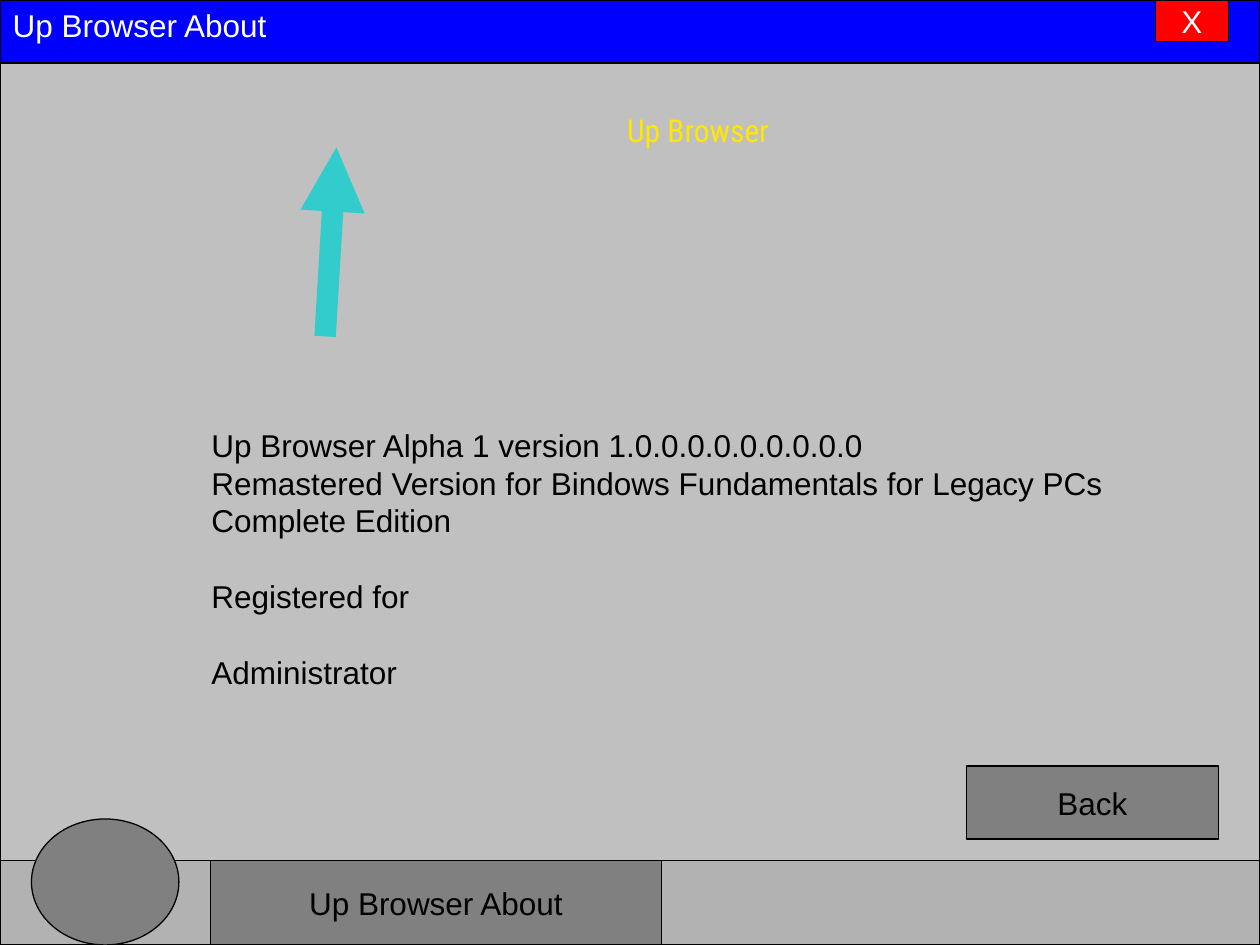
from dataclasses import dataclass

from lxml import etree
from pptx import Presentation, util as u
from pptx.dml.color import RGBColor
from pptx.enum import shapes, text
from pptx.oxml import ns


@dataclass(frozen=True)
class Theme:
    """Colours, fonts and sizes of the window."""
    desktop: str = "0070C0"
    backdrop: str = "009999"
    taskbar: str = "B2B2B2"
    title_bar: str = "0000FF"
    panel: str = "C0C0C0"
    button: str = "808080"
    close: str = "FF0000"
    arrow: str = "33CCCC"
    brand: str = "FFE701"
    dark: str = "000000"
    light: str = "FFFFFF"
    font: str = "Arial"
    brand_font: str = "Roboto Condensed"
    size: float = 18
    leading: float = 21.6
    border: float = 0.75
    arrow_width: float = 12.25


T = Theme()
RECT = shapes.MSO_SHAPE.RECTANGLE
LEFT, CENTER = text.PP_ALIGN.LEFT, text.PP_ALIGN.CENTER
TOP, MIDDLE = text.MSO_ANCHOR.TOP, text.MSO_ANCHOR.MIDDLE


def rgb(value):
    """Return a colour from its hex string."""
    return RGBColor.from_string(value)


def place(sp, box):
    """Move and size a shape by a box in inches."""
    sp.left, sp.top, sp.width, sp.height = map(u.Inches, box)


def write(sp, content, color, align=LEFT, anchor=TOP, font=T.font):
    """Fill a shape with unwrapped text and format its runs."""
    tf = sp.text_frame
    tf.text = content
    tf.word_wrap = False
    tf.auto_size = text.MSO_AUTO_SIZE.NONE
    tf.vertical_anchor = anchor
    tf.margin_left = tf.margin_right = u.Inches(0.1)
    tf.margin_top = tf.margin_bottom = u.Inches(0.05)
    for p in tf.paragraphs:
        p.alignment = align
        for r in p.runs:
            r.font.name = font
            r.font.size = u.Pt(T.size)
            r.font.color.rgb = rgb(color)
    return tf


def add_box(s, box, fill, label="", color=T.dark, kind=RECT):
    """Add a bordered shape with an optional centred label."""
    sp = s.shapes.add_shape(kind, *map(u.Inches, box))
    sp.shadow.inherit = False
    sp.fill.solid()
    sp.fill.fore_color.rgb = rgb(fill)
    sp.line.color.rgb = rgb(T.dark)
    sp.line.width = u.Pt(T.border)
    if label:
        write(sp, label, color, CENTER, MIDDLE)


def add_title(s, box, content):
    """Set the window title and bring it to the front."""
    sp = s.shapes.title
    place(sp, box)
    tf = write(sp, content, T.light)
    tf.paragraphs[0].line_spacing = 1.0
    tf.paragraphs[0].space_before = u.Pt(0)
    sp.element.getparent().append(sp.element)


def add_text(s, box, content, color, **style):
    """Add a text box and return its text frame."""
    sp = s.shapes.add_textbox(*map(u.Inches, box))
    return write(sp, content, color, **style)


def add_details(s, box, groups):
    """Add groups of lines set one line apart."""
    lines = [line for group in groups for line in group]
    starts = {group[0] for group in groups[1:]}
    tf = add_text(s, box, "\n".join(lines), T.dark)
    for p in tf.paragraphs:
        p.line_spacing = u.Pt(T.leading)
        p.space_before = u.Pt(T.leading if p.text in starts else 0)


def add_arrow(s, start, end):
    """Add a thick straight arrow between two points."""
    points = map(u.Inches, (*start, *end))
    sp = s.shapes.add_connector(shapes.MSO_CONNECTOR.STRAIGHT, *points)
    sp.line.color.rgb = rgb(T.arrow)
    sp.line.width = u.Pt(T.arrow_width)
    etree.SubElement(sp.line._get_or_add_ln(), ns.qn("a:tailEnd"), type="triangle")
    etree.SubElement(sp.element.spPr, ns.qn("a:effectLst"))


def main():
    """Build the about window and save it."""
    prs = Presentation()
    prs.slide_width, prs.slide_height = u.Inches(10), u.Inches(7.5)
    s = prs.slides.add_slide(prs.slide_layouts[5])
    s.background.fill.solid()
    s.background.fill.fore_color.rgb = rgb(T.desktop)

    add_box(s, (0, 0, 10, 7.5), T.backdrop)
    add_box(s, (0, 6.83, 10, 0.67), T.taskbar)
    add_box(s, (0, 0, 10, 6.83), T.title_bar)
    add_box(s, (0, 0.5, 10, 6.33), T.panel)
    add_title(s, (0, 0, 2.23, 0.4), "Up Browser About")
    add_box(s, (1.67, 6.83, 3.58, 0.67), T.button, "Up Browser About")
    add_box(s, (9.17, 0, 0.58, 0.33), T.close, "X", T.light)
    add_box(s, (0.25, 6.5, 1.17, 1), T.button, kind=shapes.MSO_SHAPE.OVAL)
    add_box(s, (7.67, 6.08, 2, 0.58), T.button, "Back")
    add_text(s, (3, 0.83, 5.08, 2), "Up Browser", T.brand,
             align=CENTER, font=T.brand_font)
    add_arrow(s, (2.58, 2.67), (2.67, 1.17))
    add_details(s, (1.58, 3.33, 7.28, 2.2), [
        ("Up Browser Alpha 1 version 1.0.0.0.0.0.0.0.0.0",
         "Remastered Version for Bindows Fundamentals for Legacy PCs",
         "Complete Edition"),
        ("Registered for",),
        ("Administrator",),
    ])
    prs.save("out.pptx")


if __name__ == "__main__":
    main()
